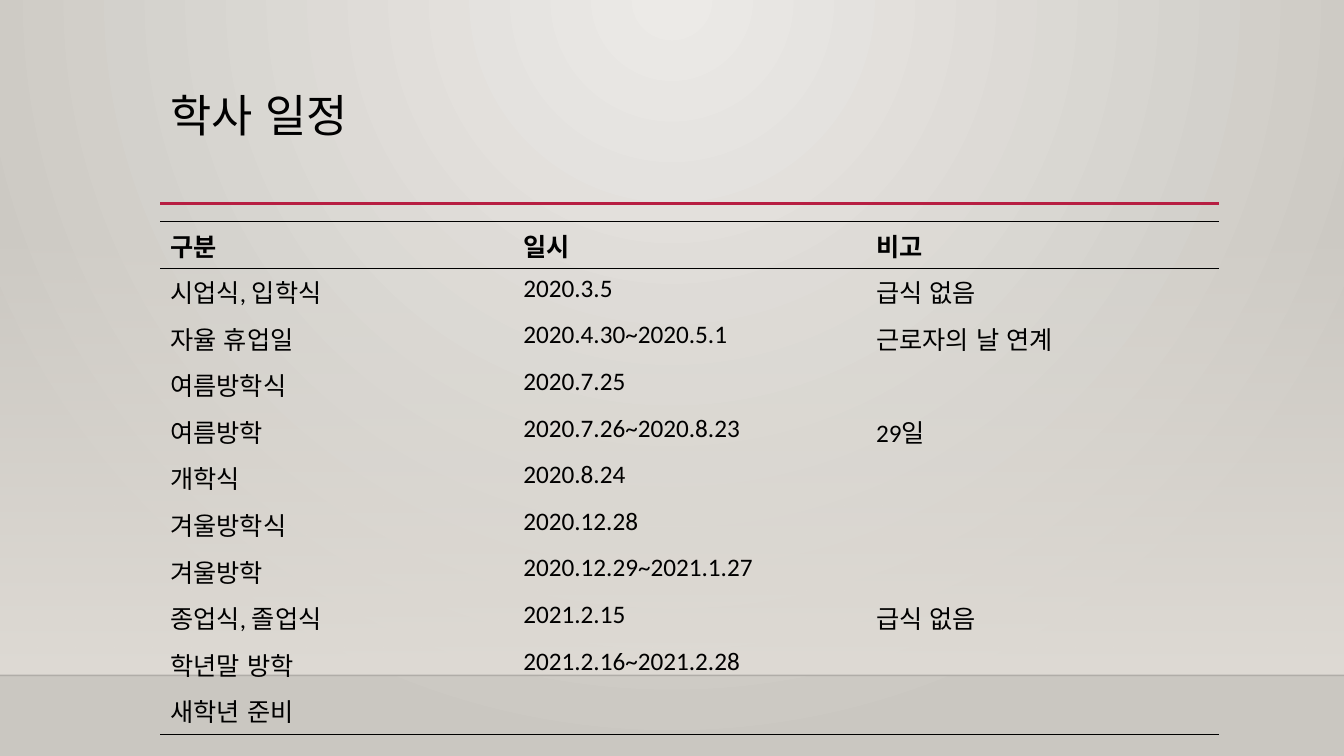
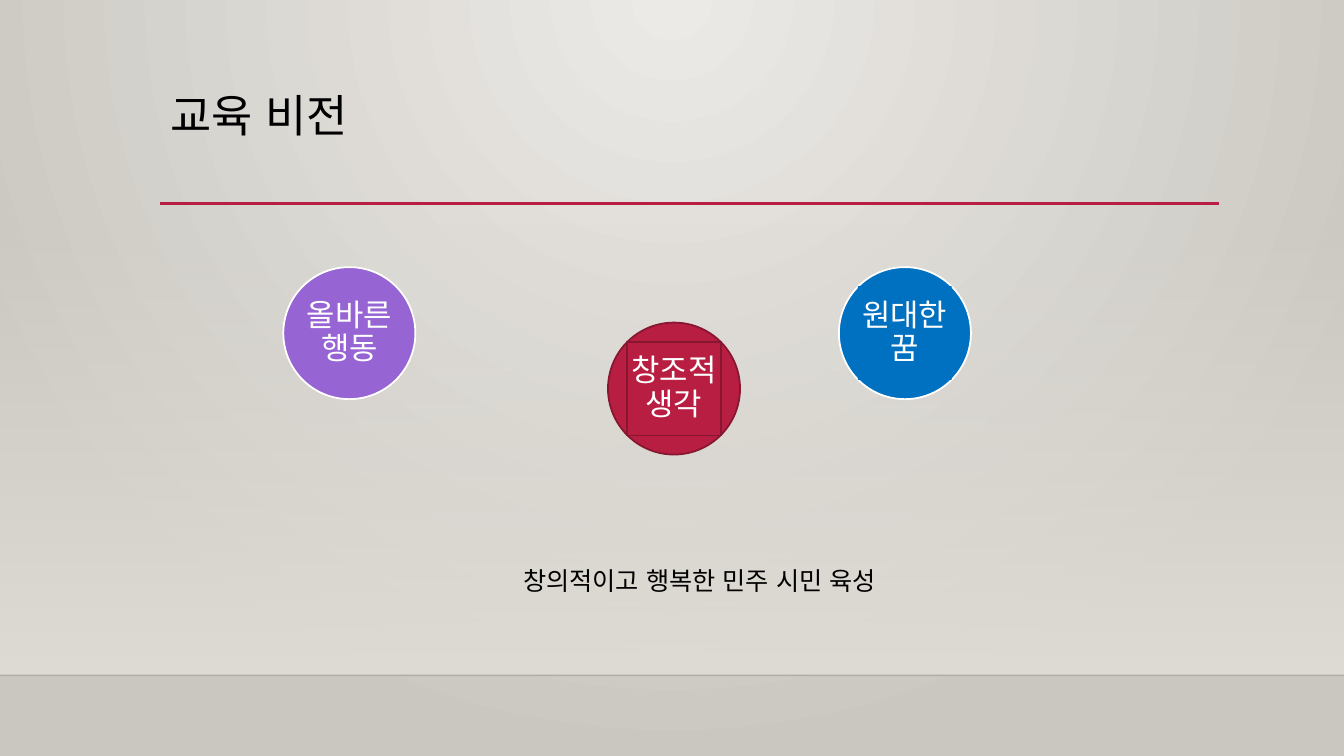
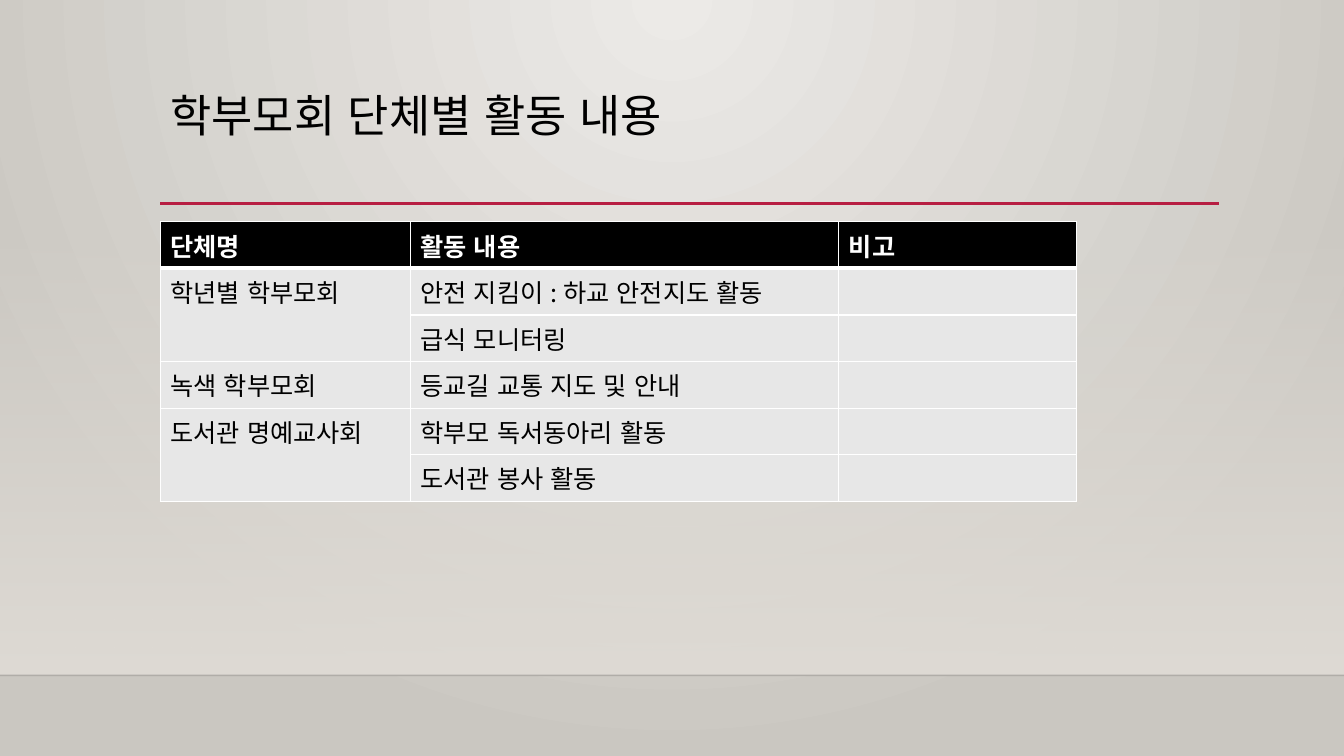
from pptx import Presentation
from pptx.dml.color import RGBColor
from pptx.enum.lang import MSO_LANGUAGE_ID
from pptx.enum.shapes import MSO_CONNECTOR, MSO_SHAPE
from pptx.enum.text import MSO_ANCHOR, MSO_AUTO_SIZE, PP_ALIGN
from pptx.oxml import parse_xml
from pptx.oxml.ns import nsdecls, qn
from pptx.oxml.xmlchemy import OxmlElement
from pptx.util import Inches, Pt

RECT, OVAL = MSO_SHAPE.RECTANGLE, MSO_SHAPE.OVAL
STRAIGHT = MSO_CONNECTOR.STRAIGHT
TOP, MIDDLE = MSO_ANCHOR.TOP, MSO_ANCHOR.MIDDLE
LEFT, CENTER = PP_ALIGN.LEFT, PP_ALIGN.CENTER
NO_FIT, GROW = MSO_AUTO_SIZE.NONE, MSO_AUTO_SIZE.SHAPE_TO_FIT_TEXT
KOREAN = MSO_LANGUAGE_ID.KOREAN

W, H = 13.33, 7.5
MARGIN, CONTENT_W = 1.59, 10.5
RULE_Y, TABLE_Y, FLOOR_Y = 2.02, 2.2, 6.7
ROW_H = 0.41
DISC, LABEL = 1.31, 0.93
KR, LATIN = "Noto Sans CJK KR", "Calibri"
BLACK, WHITE, CRIMSON, DARK_RED = "000000", "FFFFFF", "B71E42", "871631"
PURPLE, BLUE, GREY, SAND = "9764D4", "0070C0", "E7E7E7", "DFDBD5"
PLAIN_TABLE = "{2D5ABB26-0587-4C30-8999-92F81FD0307C}"
RADIAL = '<a:path path="circle"><a:fillToRect l="43000" t="0" r="43000" b="100000"/></a:path>'
DOWNWARD = '<a:lin ang="5400000" scaled="0"/>'

SCHEDULE = [
    ("구분", "일시", "비고"),
    ("시업식, 입학식", "2020.3.5", "급식 없음"),
    ("자율 휴업일", "2020.4.30~2020.5.1", "근로자의 날 연계"),
    ("여름방학식", "2020.7.25", ""),
    ("여름방학", "2020.7.26~2020.8.23", "29일"),
    ("개학식", "2020.8.24", ""),
    ("겨울방학식", "2020.12.28", ""),
    ("겨울방학", "2020.12.29~2021.1.27", ""),
    ("종업식, 졸업식", "2021.2.15", "급식 없음"),
    ("학년말 방학", "2021.2.16~2021.2.28", ""),
    ("새학년 준비", "", ""),
]
ACTIVITIES = [
    ("단체명", "활동 내용", "비고"),
    ("학년별 학부모회", "안전 지킴이 : 하교 안전지도 활동", ""),
    ("", "급식 모니터링", ""),
    ("녹색 학부모회", "등교길 교통 지도 및 안내", ""),
    ("도서관 명예교사회", "학부모 독서동아리 활동", ""),
    ("", "도서관 봉사 활동", ""),
]
VISIONS = [
    ("올바른 행동", 2.81, 2.65, PURPLE, WHITE, None, None),
    ("창조적 생각", 6.03, 3.2, CRIMSON, DARK_RED, CRIMSON, DARK_RED),
    ("원대한 꿈", 8.32, 2.65, BLUE, WHITE, BLUE, None),
]


def rgb(color):
    return RGBColor.from_string(color)


def box(x, y, w, h):
    return Inches(x), Inches(y), Inches(w), Inches(h)


def add_run(p, text, size, color=BLACK, bold=False, font=KR):
    r = p.add_run()
    r.text = text
    r.font.size, r.font.bold, r.font.name = Pt(size), bold, font
    r.font.color.rgb = rgb(color)
    r.font.language_id = KOREAN
    ea = OxmlElement("a:ea")
    ea.set("typeface", KR)
    r.font._element.find(qn("a:latin")).addnext(ea)


def set_gradient(parent, stops, direction):
    marks = "".join(
        f'<a:gs pos="{pos}"><a:srgbClr val="{color}"><a:alpha val="{alpha}"/></a:srgbClr></a:gs>'
        for pos, color, alpha in stops)
    grad = parse_xml(f'<a:gradFill {nsdecls("a")} rotWithShape="1">'
                     f'<a:gsLst>{marks}</a:gsLst>{direction}</a:gradFill>')
    parent.replace(parent.find(qn("a:solidFill")), grad)


def add_shape(shapes, kind, at, fill=None, line=None):
    sp = shapes.add_shape(kind, *box(*at))
    sp.shadow.inherit = False
    if fill:
        sp.fill.solid()
        sp.fill.fore_color.rgb = rgb(fill)
    else:
        sp.fill.background()
    if line:
        sp.line.color.rgb = rgb(line)
        sp.line.width = Pt(1.25)
    else:
        sp.line.fill.background()
    return sp


def add_rule(shapes, x, y, w, color, width):
    cx = shapes.add_connector(STRAIGHT, Inches(x), Inches(y), Inches(x + w), Inches(y))
    cx.line.color.rgb = rgb(color)
    cx.line.width = Pt(width)
    cx._element.spPr.append(OxmlElement("a:effectLst"))
    return cx


def style_master(prs, shapes):
    master = prs.slide_master
    master.background.fill.solid()
    set_gradient(master._element.find(".//" + qn("p:bgPr")),
                 [(0, "ECEAE7", 100000), (100000, "CAC7C1", 100000)], RADIAL)
    haze = add_shape(shapes, RECT, (0, 2.21, W, FLOOR_Y - 2.21), SAND)
    set_gradient(haze._element.spPr, [(0, SAND, 0), (100000, SAND, 100000)], DOWNWARD)
    floor = add_rule(shapes, 0, FLOOR_Y, W, BLACK, 1)
    alpha = OxmlElement("a:alpha")
    alpha.set("val", "20000")
    floor._element.find(".//" + qn("a:ln")).find(".//" + qn("a:srgbClr")).append(alpha)
    rule = add_rule(shapes, MARGIN, RULE_Y, CONTENT_W, CRIMSON, 2.5)
    for i, s in enumerate((haze, floor, rule)):
        s._element._nvXxPr.cNvPr.id = 100 + i
        master.shapes._spTree.insert(2 + i, s._element)


def add_slide(prs, title):
    s = prs.slides.add_slide(prs.slide_layouts[5])
    sp = s.shapes.title
    sp.left, sp.top, sp.width, sp.height = box(MARGIN, 0.88, CONTENT_W, 1.15)
    tf = sp.text_frame
    tf.auto_size, tf.vertical_anchor, tf.word_wrap = NO_FIT, TOP, True
    p = tf.paragraphs[0]
    p.alignment, p.line_spacing = LEFT, 0.9
    add_run(p, title, 32)
    return s


def set_borders(cell, color, widths):
    tc_pr = cell._tc.get_or_add_tcPr()
    for side in "LRTB":
        if side in widths:
            tc_pr.append(parse_xml(
                f'<a:ln{side} {nsdecls("a")} w="{Pt(widths[side])}"><a:solidFill>'
                f'<a:srgbClr val="{color}"/></a:solidFill></a:ln{side}>'))


def add_table(s, rows, widths, font, border, edges, head_color=BLACK, fills=None):
    frame = s.shapes.add_table(len(rows), len(widths),
                               *box(MARGIN, TABLE_Y, sum(widths), ROW_H * len(rows)))
    table = frame.table
    table.horz_banding = False
    table._tbl.tblPr.find(qn("a:tableStyleId")).text = PLAIN_TABLE
    for col, width in zip(table.columns, widths):
        col.width = Inches(width)
    for i, row in enumerate(rows):
        table.rows[i].height = Inches(ROW_H)
        head = i == 0
        for j, text in enumerate(row):
            cell = table.cell(i, j)
            set_borders(cell, border, edges(i))
            if fills:
                cell.fill.solid()
                cell.fill.fore_color.rgb = rgb(fills[0 if head else 1])
            else:
                cell.fill.background()
            if text:
                add_run(cell.text_frame.paragraphs[0], text, 18,
                        head_color if head else BLACK, head, font)
    return table


def add_vision(s, text, x, y, fill, line, label_fill, label_line):
    group = s.shapes.add_group_shape()
    add_shape(group.shapes, OVAL, (x, y, DISC, DISC), fill, line)
    inset = (DISC - LABEL) / 2
    sp = add_shape(group.shapes, RECT, (x + inset, y + inset, LABEL, LABEL), label_fill, label_line)
    tf = sp.text_frame
    tf.word_wrap, tf.vertical_anchor = True, MIDDLE
    tf.margin_left = tf.margin_right = tf.margin_top = tf.margin_bottom = Inches(0.03)
    p = tf.paragraphs[0]
    p.alignment, p.line_spacing = CENTER, 0.9
    add_run(p, text, 22, WHITE)


def add_caption(s, text, at):
    tf = s.shapes.add_textbox(*box(*at)).text_frame
    tf.word_wrap, tf.auto_size = False, GROW
    add_run(tf.paragraphs[0], text, 18)


def schedule_edges(i):
    if i == 0:
        return {"T": 1, "B": 1}
    return {"B": 1} if i == len(SCHEDULE) - 1 else {}


def activity_edges(i):
    return {"L": 1, "R": 1, "T": 1, "B": 3} if i == 0 else {"L": 1, "R": 1, "B": 1}


def main():
    prs = Presentation()
    prs.slide_width, prs.slide_height = Inches(W), Inches(H)

    s = add_slide(prs, "학사 일정")
    style_master(prs, s.shapes)
    add_table(s, SCHEDULE, [CONTENT_W / 3] * 3, LATIN, BLACK, schedule_edges)

    s = add_slide(prs, "교육 비전")
    for vision in VISIONS:
        add_vision(s, *vision)
    add_caption(s, "창의적이고 행복한 민주 시민 육성", (5.09, 5.56, 3.8, 0.4))

    s = add_slide(prs, "학부모회 단체별 활동 내용")
    table = add_table(s, ACTIVITIES, [2.48, 4.25, 2.36], KR, WHITE, activity_edges,
                      WHITE, (BLACK, GREY))
    for first in (1, 4):
        table.cell(first, 0).merge(table.cell(first + 1, 0))

    prs.save("out.pptx")


if __name__ == "__main__":
    main()
